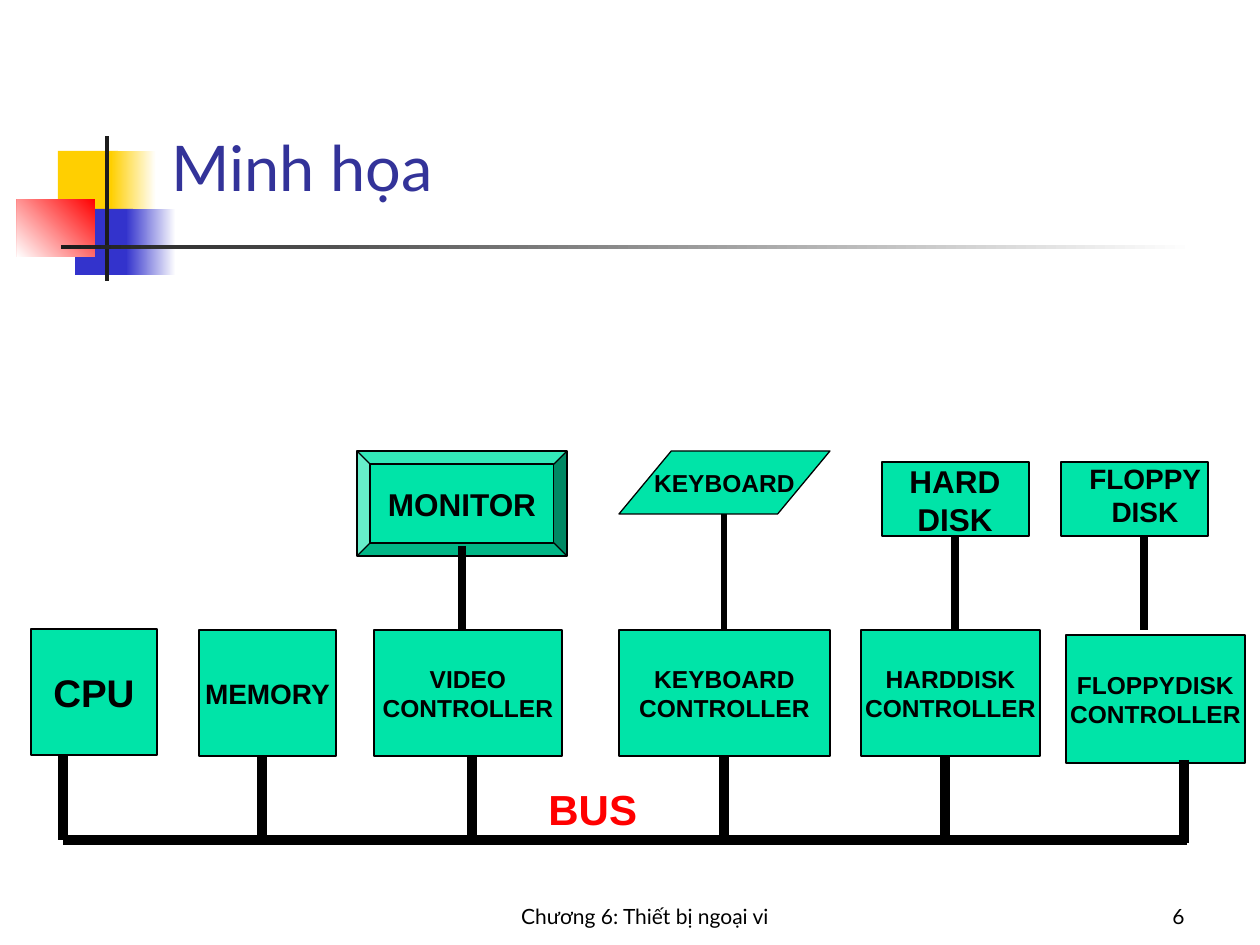
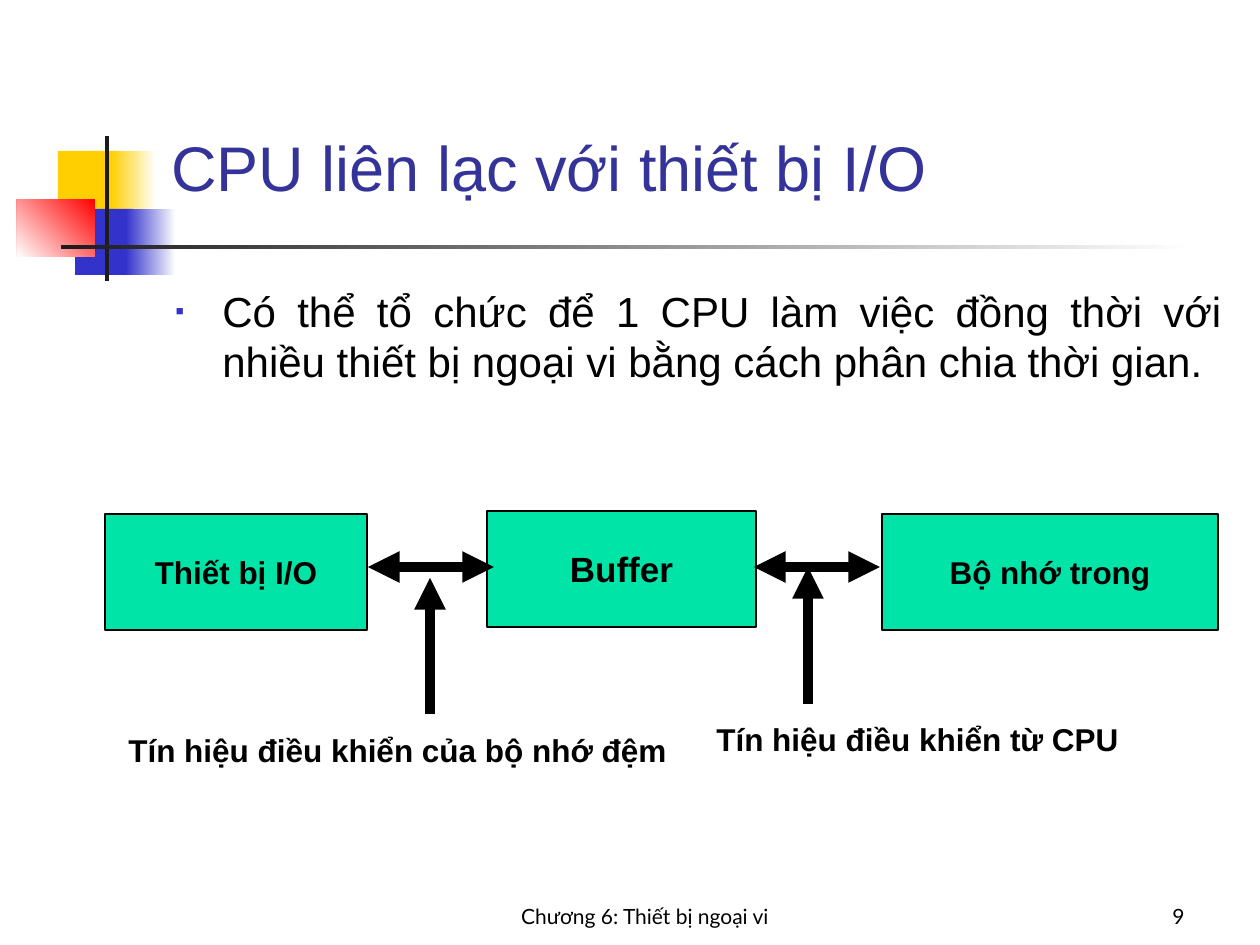
from lxml import etree
from pptx import Presentation
from pptx.dml.color import RGBColor
from pptx.enum.shapes import MSO_CONNECTOR, MSO_SHAPE
from pptx.enum.text import MSO_ANCHOR, PP_ALIGN
from pptx.oxml.ns import qn
from pptx.util import Pt

EMU_PER_PX = 914400 / 126
RECT, BEVEL, SLANT = MSO_SHAPE.RECTANGLE, MSO_SHAPE.BEVEL, MSO_SHAPE.PARALLELOGRAM
STRAIGHT = MSO_CONNECTOR.STRAIGHT
LEFT, CENTER, RIGHT, JUSTIFY = PP_ALIGN.LEFT, PP_ALIGN.CENTER, PP_ALIGN.RIGHT, PP_ALIGN.JUSTIFY
TOP, MIDDLE, BOTTOM = MSO_ANCHOR.TOP, MSO_ANCHOR.MIDDLE, MSO_ANCHOR.BOTTOM

COLORS = {
    "white": "FFFFFF",
    "black": "000000",
    "device": "00E4A8",
    "title": "333399",
    "yellow": "FFCF01",
    "blue": "3333CC",
    "red": "FF0000",
    "rule": "1C1C1C",
}
FOOTER = "Chương 6: Thiết bị ngoại vi"
BUS_Y = 840


def px(*lengths):
    """Turn pixel lengths into EMU."""
    return [round(length * EMU_PER_PX) for length in lengths]


def rgb(name):
    """Look up a colour of the palette."""
    return RGBColor.from_string(COLORS[name])


def write_text(frame, text, size=18, color="black", font="Arial", bold=False,
               align=LEFT, anchor=TOP, before=0, wrap=True):
    """Fill a text frame, one paragraph for each line of text."""
    frame.word_wrap = wrap
    frame.vertical_anchor = anchor
    for index, line in enumerate(text.split("\n")):
        paragraph = frame.add_paragraph() if index else frame.paragraphs[0]
        paragraph.alignment = align
        paragraph.space_before = Pt(before)
        run = paragraph.add_run()
        run.text = line
        run.font.size = Pt(size)
        run.font.name = font
        run.font.bold = bold
        run.font.color.rgb = rgb(color)


def add_label(slide, box, text, **style):
    """Add free text and return its frame."""
    frame = slide.shapes.add_textbox(*px(*box)).text_frame
    write_text(frame, text, **style)
    return frame


def add_ornament(slide, box, start, end=None, angle=180):
    """Add a borderless rectangle, plain or fading between two colours."""
    ornament = slide.shapes.add_shape(RECT, *px(*box))
    ornament.shadow.inherit = False
    ornament.line.fill.background()
    if end is None:
        ornament.fill.solid()
        ornament.fill.fore_color.rgb = rgb(start)
        return
    ornament.fill.gradient()
    ornament.fill.gradient_angle = angle
    for stop, color, position in zip(ornament.fill.gradient_stops, (start, end), (0, 1)):
        stop.color.rgb = rgb(color)
        stop.position = position


def add_device(slide, box, text="", size=14, kind=RECT, adjustment=None):
    """Add an outlined green block with a bold centred caption."""
    device = slide.shapes.add_shape(kind, *px(*box))
    device.shadow.inherit = False
    device.fill.solid()
    device.fill.fore_color.rgb = rgb("device")
    device.line.color.rgb = rgb("black")
    device.line.width = Pt(0.75)
    if adjustment is not None:
        device.adjustments[0] = adjustment
    if text:
        write_text(device.text_frame, text, size=size, bold=True,
                   align=CENTER, anchor=MIDDLE, wrap=False)


def add_link(slide, ends, width=6, arrows=()):
    """Add a black line with arrowheads at the named ends."""
    link = slide.shapes.add_connector(STRAIGHT, *px(*ends))
    link.line.color.rgb = rgb("black")
    link.line.width = Pt(width)
    outline = link.line._get_or_add_ln()
    for end in arrows:
        etree.SubElement(outline, qn(f"a:{end}"), type="triangle")
    etree.SubElement(link._element.spPr, qn("a:effectLst"))


def add_bullet(paragraph, indent):
    """Give a paragraph a small blue square and a hanging indent."""
    properties = paragraph._p.get_or_add_pPr()
    margin, = px(indent)
    properties.set("marL", str(margin))
    properties.set("indent", str(-margin))
    color = etree.SubElement(properties, qn("a:buClr"))
    etree.SubElement(color, qn("a:srgbClr"), val=COLORS["blue"])
    etree.SubElement(properties, qn("a:buSzPct"), val="60000")
    etree.SubElement(properties, qn("a:buFont"), typeface="Arial")
    etree.SubElement(properties, qn("a:buChar"), char="▪")


def add_base_slide(deck, title, number, title_font="Arial"):
    """Add a slide with the shared ornament, title and footer."""
    slide = deck.slides.add_slide(deck.slide_layouts[6])
    slide.background.fill.solid()
    slide.background.fill.fore_color.rgb = rgb("white")
    add_ornament(slide, (58, 151, 60, 66), "yellow")
    add_ornament(slide, (111, 151, 45, 66), "white", "yellow")
    add_ornament(slide, (75, 209, 58, 66), "blue")
    add_ornament(slide, (126, 209, 50, 66), "white", "blue")
    add_ornament(slide, (17, 199, 78, 58), "red", "white", angle=225)
    add_ornament(slide, (105, 136, 4, 145), "rule")
    add_ornament(slide, (61, 245, 1134, 4), "white", "rule")
    add_label(slide, (159, 126, 1074, 84), title, size=36, color="title",
              font=title_font, anchor=BOTTOM)
    footer_style = {"size": 12, "font": "Lato", "anchor": BOTTOM}
    add_label(slide, (262, 872, 766, 63), FOOTER, align=CENTER, **footer_style)
    add_label(slide, (1050, 872, 147, 63), str(number), align=RIGHT, **footer_style)
    return slide


def build_bus_slide(deck):
    """Draw devices and controllers hanging on the bus."""
    slide = add_base_slide(deck, "Minh họa", 6, title_font="Lato")
    bus_units = [
        ((31, 629, 126, 126), "CPU", 22, 63),
        ((199, 630, 137, 126), "MEMORY", 16, 262),
        ((374, 630, 188, 126), "VIDEO\nCONTROLLER", 14, 472),
        ((619, 630, 211, 126), "KEYBOARD\nCONTROLLER", 14, 724),
        ((861, 630, 179, 126), "HARDDISK\nCONTROLLER", 14, 945),
        ((1066, 635, 179, 128), "FLOPPYDISK\nCONTROLLER", 14, 1184),
    ]
    for box, caption, size, _ in bus_units:
        add_device(slide, box, caption, size)
    add_link(slide, (63, BUS_Y, 1187, BUS_Y))
    for *_, stub_x in bus_units[:-1]:
        add_link(slide, (stub_x, 756, stub_x, BUS_Y))
    floppy_x = bus_units[-1][-1]
    add_link(slide, (floppy_x, 760, floppy_x, BUS_Y + 3))

    add_device(slide, (357, 451, 210, 105), "MONITOR", 18, BEVEL, 0.125)
    add_device(slide, (619, 451, 211, 63), "KEYBOARD", 14, SLANT, 0.83)
    for disk_x in (882, 1061):
        add_device(slide, (disk_x, 462, 147, 74))
    for cable_x, cable_top, width in ((462, 546, 4.5), (724, 514, 3),
                                      (1144, 536, 4.5), (955, 536, 4.5)):
        add_link(slide, (cable_x, cable_top, cable_x, 630), width)
    add_label(slide, (892, 456, 126, 88), "HARD DISK", bold=True, align=CENTER, before=11.2)
    add_label(slide, (1061, 455, 168, 81), "FLOPPY DISK", size=16, bold=True,
              align=CENTER, before=10)
    add_label(slide, (536, 777, 168, 63), "BUS", size=24, color="red", bold=True, before=15)


def build_buffer_slide(deck):
    """Draw the path from the I/O device through the buffer to memory."""
    slide = add_base_slide(deck, "CPU liên lạc với thiết bị I/O", 9)
    summary = add_label(
        slide, (163, 279, 1071, 142),
        "Có thể tổ chức để 1 CPU làm việc đồng thời với nhiều thiết bị "
        "ngoại vi bằng cách phân chia thời gian.",
        size=24, align=JUSTIFY, before=6)
    add_bullet(summary.paragraphs[0], 47)

    add_device(slide, (105, 514, 262, 116), "Thiết bị I/O", 18)
    add_device(slide, (487, 511, 269, 116), "Buffer", 20)
    add_device(slide, (882, 514, 336, 116), "Bộ nhớ trong", 18)
    for transfer_x in (368, 754):
        add_link(slide, (transfer_x, 567, transfer_x + 126, 567),
                 arrows=("headEnd", "tailEnd"))
    for signal_x, bottom, top in ((430, 714, 578), (808, 704, 567)):
        add_link(slide, (signal_x, bottom, signal_x, top), arrows=("tailEnd",))
    for box, caption in (((116, 725, 567, 51), "Tín hiệu điều khiển của bộ nhớ đệm"),
                         ((704, 714, 504, 51), "Tín hiệu điều khiển từ CPU")):
        add_label(slide, box, caption, bold=True, before=11.2)


def main():
    """Build and save the deck."""
    deck = Presentation()
    deck.slide_width, deck.slide_height = px(1260, 945)
    build_bus_slide(deck)
    build_buffer_slide(deck)
    deck.save("out.pptx")


if __name__ == "__main__":
    main()
